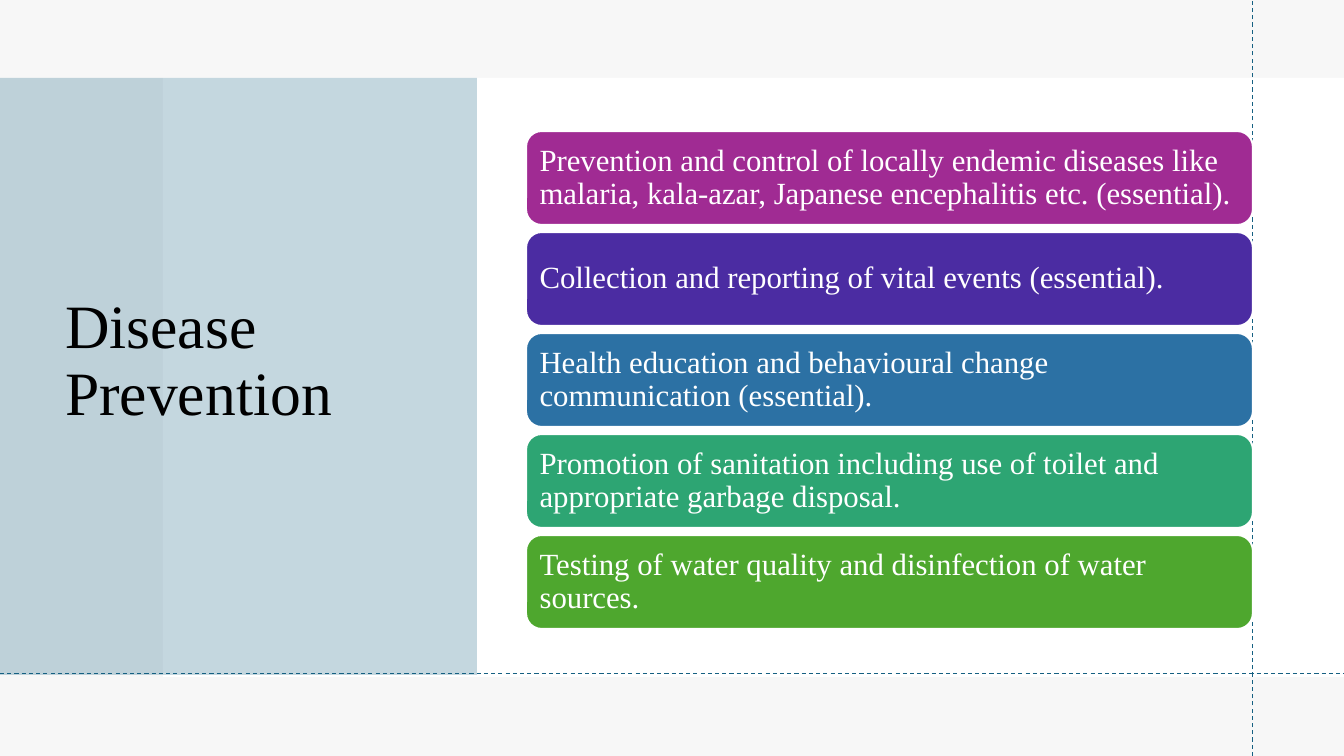
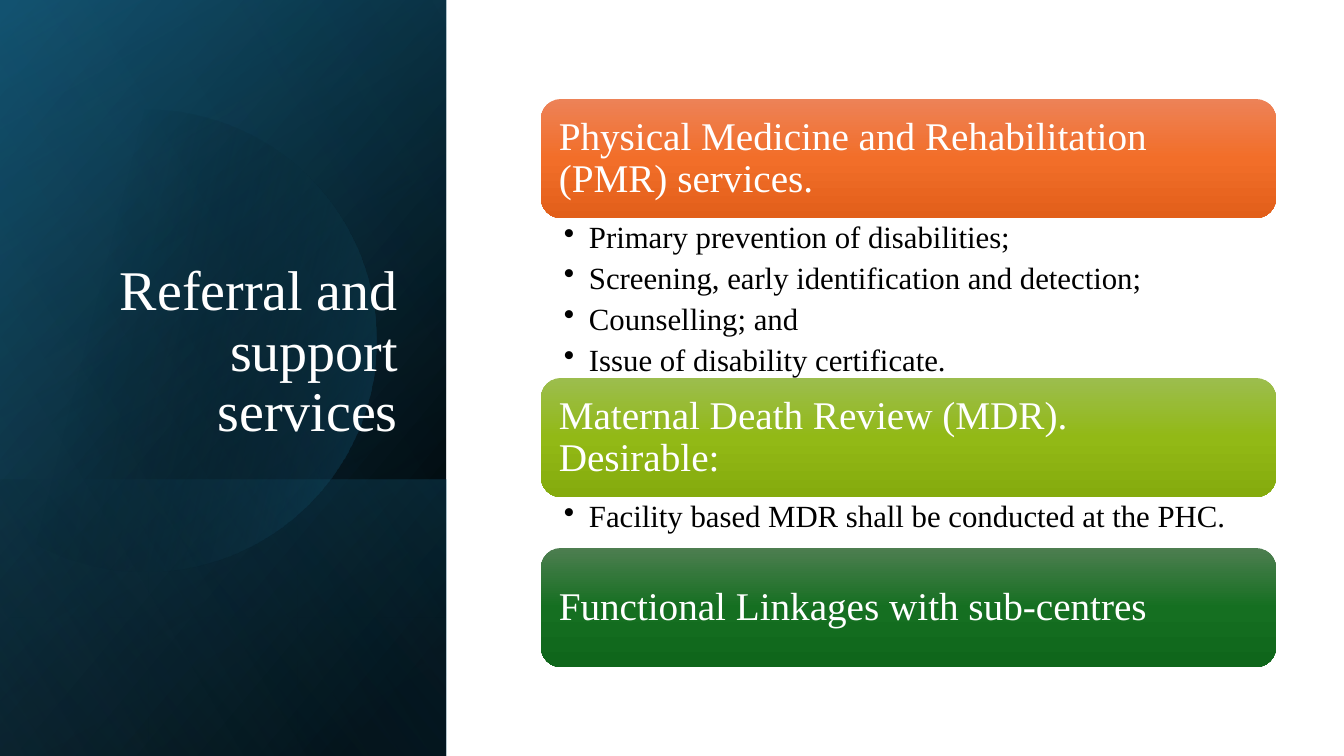
from math import cos, pi, sin

from lxml.etree import SubElement
from pptx import Presentation
from pptx.dml.color import RGBColor
from pptx.enum.dml import MSO_LINE
from pptx.enum.shapes import MSO_CONNECTOR, MSO_SHAPE
from pptx.enum.text import MSO_ANCHOR, MSO_AUTO_SIZE, PP_ALIGN
from pptx.oxml import parse_xml
from pptx.oxml.ns import nsdecls, qn
from pptx.util import Pt

W, H = 1344, 756
SCALE = 12192000 / W
FONT = "Times New Roman"
BLACK, WHITE, TEAL, PALE = "000000", "FFFFFF", "156082", "F7F7F7"

PREVENTION = [
    ("Prevention and control of locally endemic diseases like malaria, "
     "kala-azar, Japanese encephalitis etc. (essential).", "A02B93"),
    ("Collection and reporting of vital events (essential).", "4B2CA2"),
    ("Health education and behavioural change communication (essential).", "2C71A4"),
    ("Promotion of sanitation including use of toilet and appropriate "
     "garbage disposal.", "2DA573"),
    ("Testing of water quality and disinfection of water sources.", "4EA72E"),
]

# heading, gradient colours, height of the list below, bullets
SERVICES = [
    ("Physical Medicine and Rehabilitation (PMR) services.",
     ("ED8257", "F26E29", "E25F1A"), 160,
     ["Primary prevention of disabilities;",
      "Screening, early identification and detection;",
      "Counselling; and",
      "Issue of disability certificate."]),
    ("Maternal Death Review (MDR).\vDesirable:",
     ("9CBD4E", "92B916", "85AB0D"), 51,
     ["Facility based MDR shall be conducted at the PHC."]),
    ("Functional Linkages with sub-centres",
     ("4D7E50", "156F21", "0F661B"), 0, []),
]


def px(n):
    return round(n * SCALE)


def rgb(color):
    return RGBColor.from_string(color)


def set_attrs(obj, values):
    for name, value in values.items():
        setattr(obj, name, value)


def write(tf, texts, size, color, align=PP_ALIGN.LEFT, anchor=MSO_ANCHOR.MIDDLE,
          inset=None, bullet=False):
    """Fill a text frame, one paragraph per text; inset is (side, top) in px."""
    set_attrs(tf, {"word_wrap": True, "auto_size": MSO_AUTO_SIZE.NONE,
                   "vertical_anchor": anchor})
    if inset:
        side, top = map(px, inset)
        set_attrs(tf, {"margin_left": side, "margin_right": side,
                       "margin_top": top, "margin_bottom": top})
    for i, text in enumerate(texts):
        p = tf.add_paragraph() if i else tf.paragraphs[0]
        p.text = text
        if bullet:
            pPr = p._p.get_or_add_pPr()
            pPr.set("marL", str(px(25)))
            pPr.set("indent", str(-px(25)))
            SubElement(pPr, qn("a:buChar")).set("char", "•")
            p.space_after = Pt(5.4)
        set_attrs(p, {"alignment": align, "line_spacing": 0.9})
        for r in p.runs:
            set_attrs(r.font, {"name": FONT, "size": Pt(size)})
            r.font.color.rgb = rgb(color)


def solid(sp, color, alpha=100):
    sp.fill.solid()
    sp.fill.fore_color.rgb = rgb(color)
    if alpha < 100:
        clr = sp.element.spPr.find(".//" + qn("a:srgbClr"))
        SubElement(clr, qn("a:alpha")).set("val", str(alpha * 1000))


def gradient(sp, stops, angle):
    """Linear gradient; stops are (position %, colour, opacity %)."""
    gs = "".join(
        f'<a:gs pos="{pos * 1000}"><a:srgbClr val="{color}">'
        f'<a:alpha val="{alpha * 1000}"/></a:srgbClr></a:gs>'
        for pos, color, alpha in stops)
    sp.fill.background()
    spPr = sp.element.spPr
    spPr.replace(spPr.find(qn("a:noFill")), parse_xml(
        f'<a:gradFill {nsdecls("a")} rotWithShape="1"><a:gsLst>{gs}</a:gsLst>'
        f'<a:lin ang="{angle * 60000}" scaled="0"/></a:gradFill>'))


def add_shape(slide, box, kind=MSO_SHAPE.RECTANGLE):
    sp = slide.shapes.add_shape(kind, *map(px, box))
    sp.shadow.inherit = False
    sp.line.fill.background()
    return sp


def add_card(slide, box, text, size, inset):
    sp = add_shape(slide, box, MSO_SHAPE.ROUNDED_RECTANGLE)
    write(sp.text_frame, [text], size, WHITE, inset=(inset, inset))
    return sp


def add_guide(slide, x1, y1, x2, y2):
    line = slide.shapes.add_connector(MSO_CONNECTOR.STRAIGHT, *map(px, (x1, y1, x2, y2)))
    set_attrs(line.line, {"width": Pt(0.75), "dash_style": MSO_LINE.DASH})
    line.line.color.rgb = rgb(TEAL)
    SubElement(line.element.spPr, qn("a:effectLst"))


def add_slide(prs, background):
    slide = prs.slides.add_slide(prs.slide_layouts[5])
    slide.background.fill.solid()
    slide.background.fill.fore_color.rgb = rgb(background)
    return slide


def set_title(slide, box, text, size, color, **style):
    """Place the title and bring it in front of the shapes drawn so far."""
    title = slide.shapes.title
    set_attrs(title, dict(zip(("left", "top", "width", "height"), map(px, box))))
    write(title.text_frame, [text], size, color, **style)
    slide.shapes.element.append(title.element)


def add_turned_layer(slide, box, stops, angle):
    """Cover box with a gradient rectangle turned by 90 degrees and mirrored."""
    x, y, w, h = box
    sp = add_shape(slide, (x + (w - h) / 2, y + (h - w) / 2, h, w))
    sp.rotation = 90
    sp.element.spPr.xfrm.set("flipH", "1")
    gradient(sp, stops, angle)


def add_clipped_disc(slide, left, cx, cy, radius):
    """Disc cut off straight at the left edge."""
    steps = 120
    points = [(px(max(left, cx + radius * cos(2 * pi * i / steps))),
               px(cy + radius * sin(2 * pi * i / steps))) for i in range(steps)]
    fb = slide.shapes.build_freeform(*points[0])
    fb.add_line_segments(points[1:], close=True)
    sp = fb.convert_to_shape()
    sp.shadow.inherit = False
    sp.line.fill.background()
    gradient(sp, [(29, BLACK, 0), (100, TEAL, 43)], 14)


def dark_panel(slide, box):
    x, y, w, h = box
    foot = 276
    add_turned_layer(slide, box, [(8, BLACK, 100), (100, "104862", 100)], 50)
    add_turned_layer(slide, box, [(0, BLACK, 0), (99, TEAL, 46)], 30)
    add_turned_layer(slide, (x, y + h - foot, w, foot),
                     [(2, TEAL, 29), (100, BLACK, 30)], 130)
    add_clipped_disc(slide, x, x + 145, y + 341, 231)
    add_turned_layer(slide, box, [(0, BLACK, 0), (99, "46B1E1", 11)], 120)


def card_column(slide, box, items):
    x, y, w, h = box
    gap = 7
    card_h = (h - gap * (len(items) - 1)) / len(items)
    for i, (text, color) in enumerate(items):
        sp = add_card(slide, (x, y + i * (card_h + gap), w, card_h), text, 22, 9)
        solid(sp, color)
        sp.line.color.rgb = rgb(WHITE)
        sp.line.width = Pt(1.5)


def service_stack(slide, box, services):
    x, y, w, h = box
    card_h = (h - sum(service[2] for service in services)) / len(services)
    for heading, colors, list_h, bullets in services:
        sp = add_card(slide, (x, y, w, card_h), heading, 28, 12)
        gradient(sp, [(50 * i, c, 100) for i, c in enumerate(colors)], 90)
        y += card_h
        if bullets:
            tb = slide.shapes.add_textbox(*map(px, (x, y, w, list_h)))
            write(tb.text_frame, bullets, 22, BLACK, anchor=MSO_ANCHOR.TOP,
                  inset=(23, 4), bullet=True)
        y += list_h


def prevention_slide(prs):
    slide = add_slide(prs, PALE)
    solid(add_shape(slide, (163, 78, W - 163, 599)), WHITE)
    solid(add_shape(slide, (0, 78, 477, 597)), TEAL, 25)
    set_title(slide, (55, 75, 398, 574), "Disease Prevention", 44, BLACK)
    add_guide(slide, 1253, H, 1253, 0)
    add_guide(slide, 0, 674, W, 674)
    card_column(slide, (526, 131, 727, 498), PREVENTION)


def referral_slide(prs):
    slide = add_slide(prs, WHITE)
    dark_panel(slide, (0, 0, 446, H))
    set_title(slide, (64, 185, 344, 264), "Referral and support services", 40, WHITE,
              align=PP_ALIGN.RIGHT, anchor=MSO_ANCHOR.BOTTOM)
    service_stack(slide, (541, 99, 735, 568), SERVICES)


def main():
    prs = Presentation()
    prs.slide_width, prs.slide_height = px(W), px(H)
    prevention_slide(prs)
    referral_slide(prs)
    prs.save("out.pptx")


if __name__ == "__main__":
    main()
